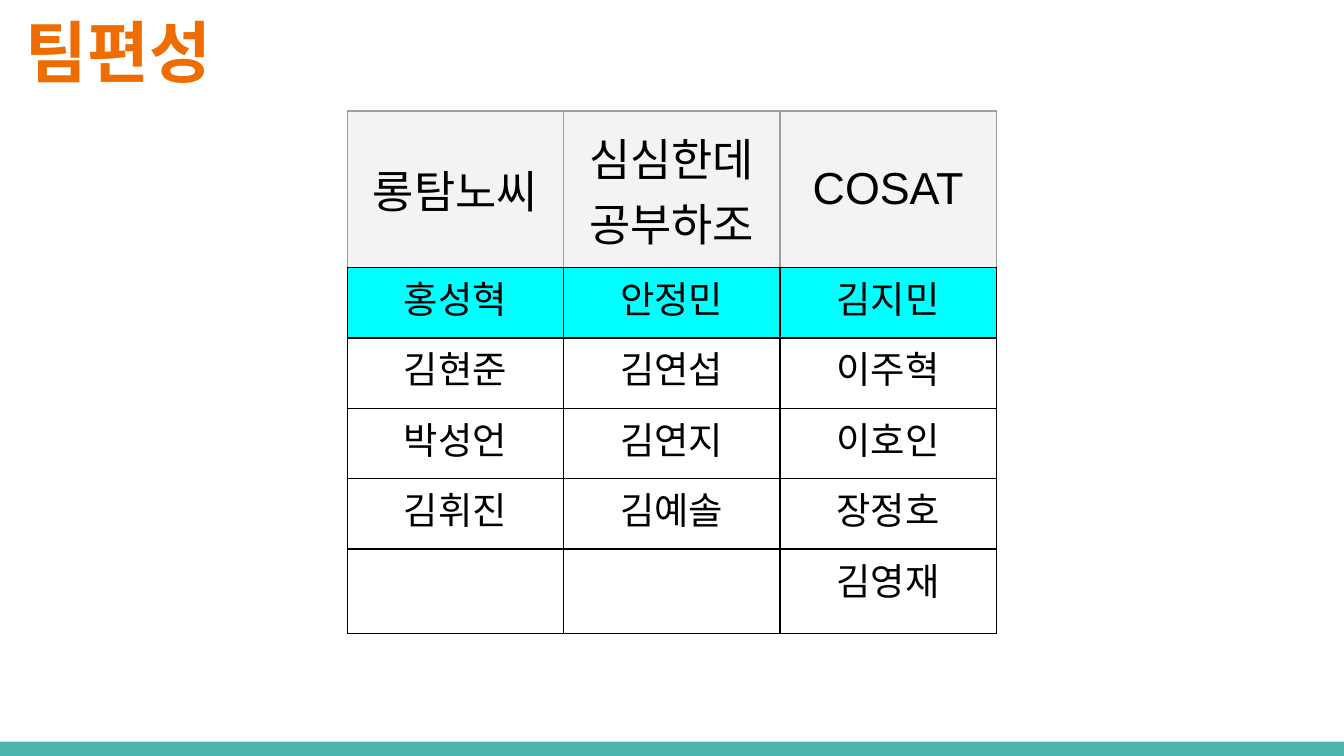
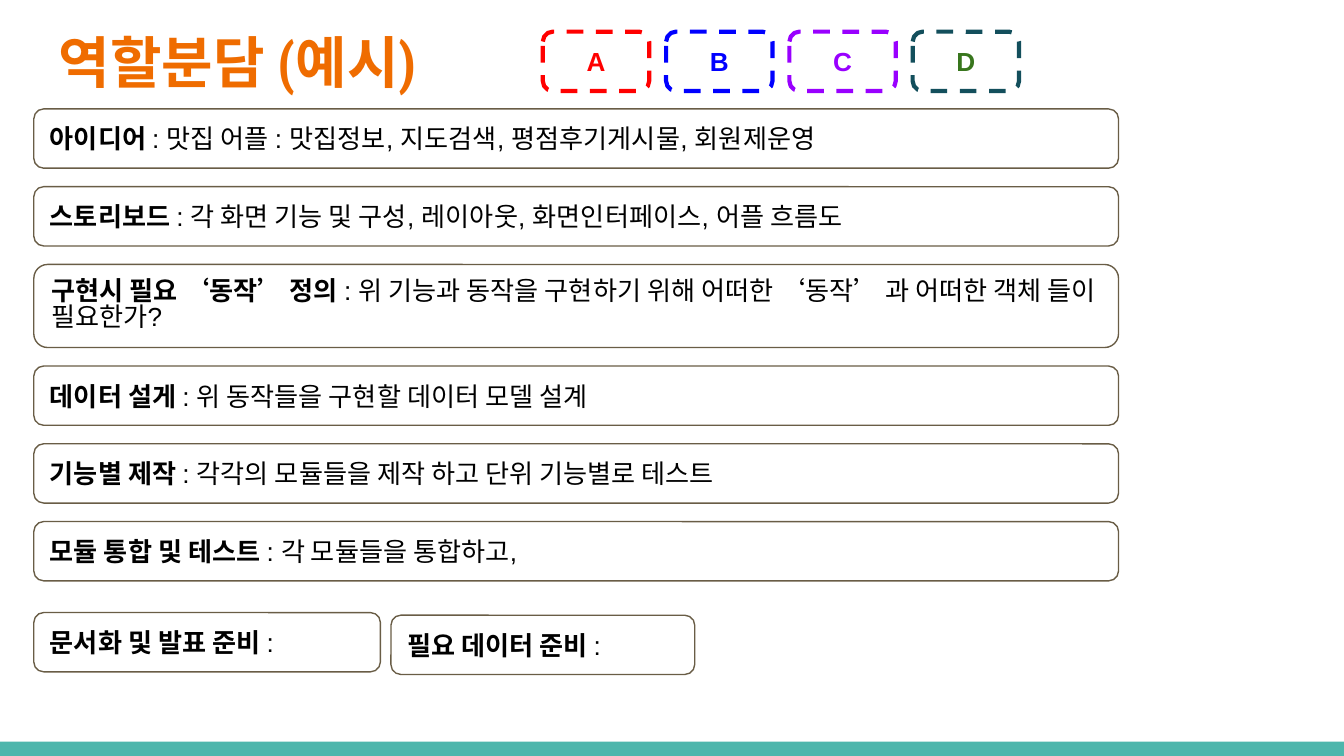
"""Build the team roster slide and the role assignment slide."""
from pptx import Presentation
from pptx.dml.color import RGBColor
from pptx.enum.dml import MSO_LINE
from pptx.enum.shapes import MSO_SHAPE
from pptx.enum.text import MSO_ANCHOR, MSO_AUTO_SIZE, PP_ALIGN
from pptx.oxml import parse_xml
from pptx.oxml.ns import nsdecls
from pptx.util import Cm, Pt

ORANGE, TEAL, BROWN = "EF6C00", "4DB6AC", "695D46"
BLACK, WHITE, GREY, PALE, CYAN = "000000", "FFFFFF", "9E9E9E", "F3F3F3", "00FFFF"
TITLE_FONT, BODY_FONT = "Roboto Condensed", "Arial"
INSET = 0.25
LEFT, TOP, BOX_WIDTH, BOX_HEIGHT, GAP = 0.64, 2.06, 20.5, 1.12, 0.35
TALL_HEIGHT = 1.57

TEAMS = [
    ["롱탐노씨", "심심한데\v공부하조", "COSAT"],
    ["홍성혁", "안정민", "김지민"],
    ["김현준", "김연섭", "이주혁"],
    ["박성언", "김연지", "이호인"],
    ["김휘진", "김예솔", "장정호"],
    ["", "", "김영재"],
]
TAGS = [("A", "FF0000", "FF0000"), ("B", "0000FF", "0000FF"),
        ("C", "9900FF", "9900FF"), ("D", "134F5C", "38761D")]
STEPS = [
    ("아이디어", " : 맛집 어플 : 맛집정보, 지도검색, 평점후기게시물, 회원제운영", BOX_HEIGHT),
    ("스토리보드", " : 각 화면 기능 및 구성, 레이아웃, 화면인터페이스, 어플 흐름도", BOX_HEIGHT),
    ("구현시 필요 ‘동작’ 정의",
     " : 위 기능과 동작을 구현하기 위해 어떠한 ‘동작’ 과 어떠한 객체 들이 필요한가?", TALL_HEIGHT),
    ("데이터 설게", " : 위 동작들을 구현할 데이터 모델 설계", BOX_HEIGHT),
    ("기능별 제작", " : 각각의 모듈들을 제작 하고 단위 기능별로 테스트", BOX_HEIGHT),
    ("모듈 통합 및 테스트", " : 각 모듈들을 통합하고,", BOX_HEIGHT),
]


def rgb(value):
    return RGBColor.from_string(value)


def style_font(font, size, color, bold=False, name=BODY_FONT):
    font.name, font.size, font.bold = name, Pt(size), bold
    font.color.rgb = rgb(color)


def set_insets(target, x, y):
    target.margin_left = target.margin_right = Cm(x)
    target.margin_top = target.margin_bottom = Cm(y)


def add_box(slide, kind, left, top, width, height, fill, line=None, weight=0.75):
    sp = slide.shapes.add_shape(kind, Cm(left), Cm(top), Cm(width), Cm(height))
    sp.shadow.inherit = False
    sp.fill.solid()
    sp.fill.fore_color.rgb = rgb(fill)
    if line:
        sp.line.color.rgb = rgb(line)
        sp.line.width = Pt(weight)
    else:
        sp.line.fill.background()
    tf = sp.text_frame
    tf.word_wrap = True
    tf.vertical_anchor = MSO_ANCHOR.MIDDLE
    set_insets(tf, INSET, INSET)
    return sp


def add_master_band(prs, slide):
    band = add_box(slide, MSO_SHAPE.RECTANGLE, 0, 14.02, 25.4, 0.27, TEAL)
    prs.slide_master.shapes.element.insert(2, band.element)


def add_titled_slide(prs, text, left, top, width, size):
    slide = prs.slides.add_slide(prs.slide_layouts[5])
    title = slide.shapes.title
    title.left, title.top, title.width, title.height = Cm(left), Cm(top), Cm(width), Cm(1.96)
    tf = title.text_frame
    tf.text = text
    tf.word_wrap = True
    tf.auto_size = MSO_AUTO_SIZE.NONE
    tf.vertical_anchor = MSO_ANCHOR.MIDDLE
    set_insets(tf, INSET, INSET)
    p = tf.paragraphs[0]
    p.alignment = PP_ALIGN.LEFT
    style_font(p.runs[0].font, size, ORANGE, True, TITLE_FONT)
    return slide


def set_borders(cell, colors):
    tc_pr = cell._tc.get_or_add_tcPr()
    for i, (side, color) in enumerate(zip("LRTB", colors)):
        tc_pr.insert(i, parse_xml(
            f'<a:ln{side} {nsdecls("a")} w="9525"><a:solidFill>'
            f'<a:srgbClr val="{color}"/></a:solidFill></a:ln{side}>'))


def fill_cell(cell, text, row):
    header = row == 0
    fill = {0: PALE, 1: CYAN}.get(row)
    if fill:
        cell.fill.solid()
        cell.fill.fore_color.rgb = rgb(fill)
    else:
        cell.fill.background()
    set_borders(cell, [GREY, GREY, GREY, BLACK] if header else [BLACK] * 4)
    cell.vertical_anchor = MSO_ANCHOR.MIDDLE if header else MSO_ANCHOR.TOP
    set_insets(cell, *((INSET, INSET) if header else (0.08, 0.05)))
    cell.text_frame.text = text
    p = cell.text_frame.paragraphs[0]
    p.alignment = PP_ALIGN.CENTER
    for r in p.runs:
        style_font(r.font, 24 if header else 20, BLACK)


def add_team_table(slide):
    frame = slide.shapes.add_table(len(TEAMS), 3, Cm(6.56), Cm(2.1), Cm(12.27), Cm(8.2))
    table = frame.table
    table.first_row = table.horz_banding = False
    for column in table.columns:
        column.width = Cm(4.09)
    for i, names in enumerate(TEAMS):
        table.rows[i].height = Cm(1.6 if i == len(TEAMS) - 1 else 1.33)
        for j, name in enumerate(names):
            fill_cell(table.cell(i, j), name, i)


def add_tag(slide, index, letter, line, color):
    sp = add_box(slide, MSO_SHAPE.ROUNDED_RECTANGLE, 10.26 + 2.33 * index, 0.6,
                 2.01, BOX_HEIGHT, WHITE, line, 2.25)
    sp.line.dash_style = MSO_LINE.DASH
    sp.text_frame.text = letter
    p = sp.text_frame.paragraphs[0]
    p.alignment = PP_ALIGN.CENTER
    style_font(p.runs[0].font, 14, color, True)


def add_step(slide, label, detail, left, top, width, height=BOX_HEIGHT):
    sp = add_box(slide, MSO_SHAPE.FLOWCHART_ALTERNATE_PROCESS, left, top, width, height,
                 WHITE, BROWN)
    p = sp.text_frame.paragraphs[0]
    p.alignment = PP_ALIGN.LEFT
    if height == TALL_HEIGHT:
        p.line_spacing = 0.82
    for text, bold in ((label, True), (detail, False)):
        r = p.add_run()
        r.text = text
        style_font(r.font, 14, BLACK, bold)


def main():
    prs = Presentation()
    prs.slide_width, prs.slide_height = Cm(25.4), Cm(14.29)

    teams = add_titled_slide(prs, "팀편성", 0.23, -0.03, 5.18, 36)
    add_master_band(prs, teams)
    add_team_table(teams)

    roles = add_titled_slide(prs, "역할분담 (예시)", 0.86, 0.18, 9.09, 30)
    for i, tag in enumerate(TAGS):
        add_tag(roles, i, *tag)
    top = TOP
    for label, detail, height in STEPS:
        add_step(roles, label, detail, LEFT, top, BOX_WIDTH, height)
        top += height + GAP
    add_step(roles, "필요 데이터 준비", " :", 7.39, 11.63, 5.74)
    add_step(roles, "문서화 및 발표 준비", " :", LEFT, 11.58, 6.55)

    prs.save("out.pptx")


if __name__ == "__main__":
    main()
